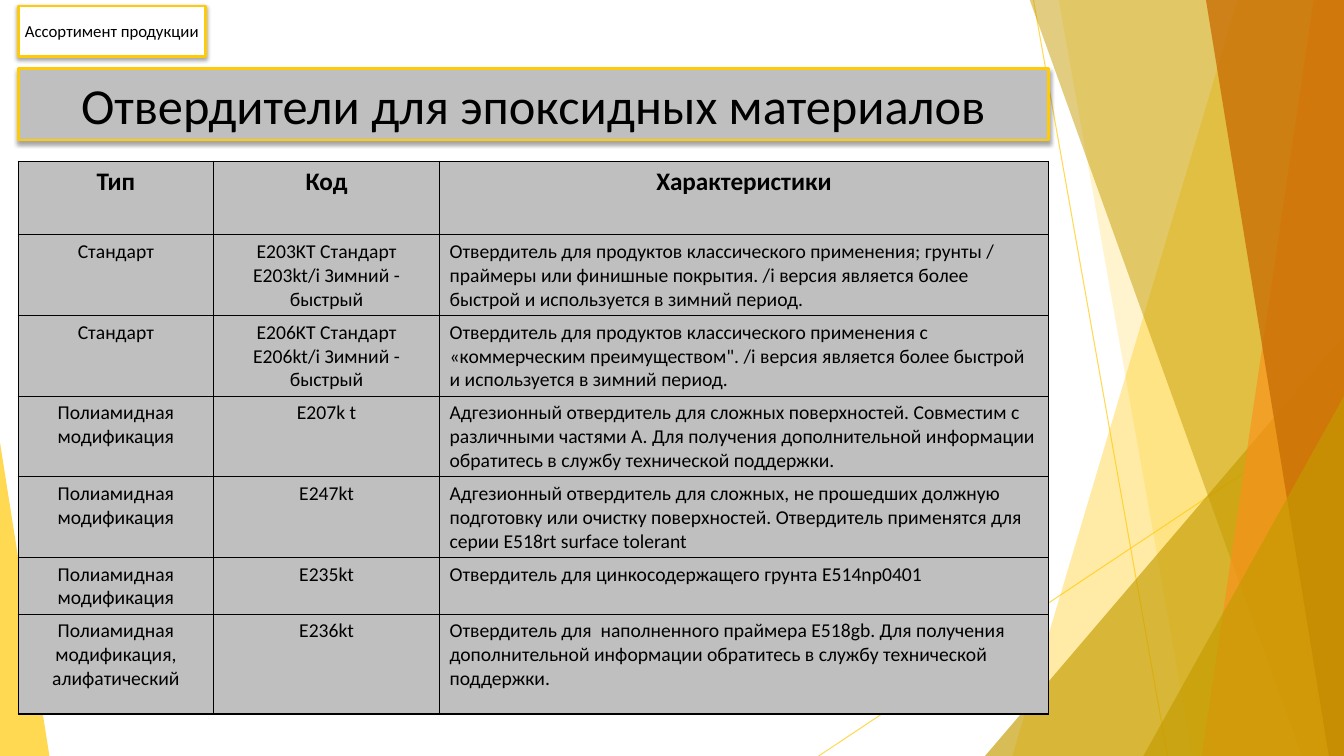
from dataclasses import dataclass
from typing import Any

from lxml import etree
from pptx import Presentation
from pptx import util as u
from pptx.dml.color import RGBColor
from pptx.enum import shapes, text
from pptx.oxml import ns


@dataclass(frozen=True)
class Theme:
    font: str = "Calibri"
    black: str = "000000"
    white: str = "FFFFFF"
    grey: str = "BFBFBF"
    yellow: str = "FFCA08"
    gold: str = "C59B00"
    orange: str = "F8931D"
    rust: str = "CA6F06"
    title: int = 36
    header: int = 18
    body: int = 14
    tag: int = 12


T = Theme()
WIDTH, HEIGHT, TOP = 13.33, 7.5, -0.01
LEFT, CONTENT_WIDTH = 0.18, 10.22


@dataclass(frozen=True)
class Ray:
    start: tuple[float, float]
    end: tuple[float, float]


@dataclass(frozen=True)
class Band:
    """A facet reaching the right edge, bounded on the left by a slanted side."""
    top_x: float
    bottom_x: float
    color: str
    alpha: int


@dataclass(frozen=True)
class Triangle:
    left: float
    top: float
    width: float
    apex: float
    color: str
    alpha: int


@dataclass(frozen=True)
class Banner:
    label: str
    top: float
    width: float
    height: float
    fill: str
    size: int


@dataclass(frozen=True)
class Hardener:
    kind: str
    codes: tuple[str, ...]
    features: str
    height: float


DECOR: list[Ray | Band | Triangle] = [
    Ray((10.25, 0), (11.58, HEIGHT)),
    Ray((WIDTH, 4.03), (8.12, HEIGHT)),
    Band(12.28, 10.04, T.yellow, 36),
    Band(10.5, 11.83, T.yellow, 20),
    Triangle(9.77, 3.33, 3.56, 1, T.gold, 66),
    Band(10.21, 12.91, T.gold, 50),
    Band(13.03, 11.92, T.orange, 70),
    Band(11.96, 13.18, T.rust, 80),
    Triangle(11.34, 3.93, 1.99, 1, T.gold, 66),
    Triangle(0, 4.39, 0.49, 0, T.yellow, 70),
]
BANNERS = [
    Banner("Отвердители для эпоксидных материалов", 0.68, CONTENT_WIDTH, 0.71, T.grey, T.title),
    Banner("Ассортимент продукции", 0.06, 1.86, 0.5, T.white, T.tag),
]
COLUMNS = [1.94, 2.24, 6.04]
ROWS = [
    Hardener("Тип", ("Код",), "Характеристики", 0.73),
    Hardener("Стандарт", ("E203KT Стандарт", "E203kt/i Зимний - быстрый"),
             "Отвердитель для продуктов классического применения; грунты / праймеры или финишные "
             "покрытия. /i версия является более быстрой и используется в зимний период.", 0.65),
    Hardener("Стандарт", ("E206KT Стандарт", "E206kt/i Зимний - быстрый"),
             "Отвердитель для продуктов классического применения с «коммерческим преимуществом\". "
             "/i версия является более быстрой и используется в зимний период.", 0.67),
    Hardener("Полиамидная модификация", ("E207k t",),
             "Адгезионный отвердитель для сложных поверхностей. Совместим с различными частями A. "
             "Для получения дополнительной информации обратитесь в службу технической поддержки.", 0.65),
    Hardener("Полиамидная модификация", ("E247kt",),
             "Адгезионный отвердитель для сложных, не прошедших должную подготовку или очистку "
             "поверхностей. Отвердитель применятся для серии E518rt surface tolerant", 0.69),
    Hardener("Полиамидная модификация", ("E235kt",),
             "Отвердитель для цинкосодержащего грунта E514np0401", 0.51),
    Hardener("Полиамидная модификация, алифатический", ("E236kt",),
             "Отвердитель для  наполненного праймера E518gb. Для получения дополнительной "
             "информации обратитесь в службу технической поддержки.", 0.99),
]


def sub(parent: Any, tag: str, **attrs: Any) -> Any:
    return etree.SubElement(parent, ns.qn(tag), {k: str(v) for k, v in attrs.items()})


def paint(fill: Any, color: str, alpha: int = 100) -> None:
    """Set a solid fill with an opacity in percent."""
    fill.solid()
    fill.fore_color.rgb = RGBColor.from_string(color)
    if alpha < 100:
        clr = fill._xPr.find(ns.qn("a:solidFill"))[0]
        sub(clr, "a:alpha", val=alpha * 1000)


def write(tf: Any, lines: tuple[str, ...], size: int, centred: bool = True, bold: bool = False) -> None:
    tf.word_wrap = True
    for i, line in enumerate(lines):
        p = tf.add_paragraph() if i else tf.paragraphs[0]
        p.alignment = text.PP_ALIGN.CENTER if centred else text.PP_ALIGN.LEFT
        r = p.add_run()
        r.text = line
        r.font.name, r.font.size, r.font.bold = T.font, u.Pt(size), bold
        r.font.color.rgb = RGBColor.from_string(T.black)


def add_ray(s: Any, ray: Ray) -> None:
    ends = [u.Inches(v) for v in (*ray.start, *ray.end)]
    line = s.shapes.add_connector(shapes.MSO_CONNECTOR.STRAIGHT, *ends)
    line.line.width = u.Pt(0.75)
    paint(line.line.fill, T.yellow, 70)
    sub(line._element.spPr, "a:effectLst")


def add_facet(s: Any, facet: Band | Triangle) -> None:
    if isinstance(facet, Band):
        corners = [(facet.top_x, TOP), (WIDTH, TOP), (WIDTH, HEIGHT), (facet.bottom_x, HEIGHT)]
        points = [(u.Inches(x), u.Inches(y)) for x, y in corners]
        builder = s.shapes.build_freeform(*points[0])
        builder.add_line_segments(points[1:], close=True)
        sp = builder.convert_to_shape()
    else:
        box = (facet.left, facet.top, facet.width, HEIGHT - facet.top)
        sp = s.shapes.add_shape(shapes.MSO_SHAPE.ISOSCELES_TRIANGLE, *map(u.Inches, box))
        sp.adjustments[0] = facet.apex
    sp.shadow.inherit = False
    sp.line.fill.background()
    paint(sp.fill, facet.color, facet.alpha)


def add_banner(s: Any, b: Banner) -> None:
    box = map(u.Inches, (LEFT, b.top, b.width, b.height))
    sp = s.shapes.add_shape(shapes.MSO_SHAPE.RECTANGLE, *box)
    paint(sp.fill, b.fill)
    paint(sp.line.fill, T.yellow)
    sp.line.width = u.Pt(2)
    sp.shadow.inherit = False
    effects = sp._element.spPr.find(ns.qn("a:effectLst"))
    shadow = sub(effects, "a:outerShdw", blurRad=u.Pt(3), dist=u.Pt(1.8), dir=90 * 60000, rotWithShape=0)
    sub(sub(shadow, "a:srgbClr", val=T.black), "a:alpha", val=35000)
    tf = sp.text_frame
    tf.margin_left = tf.margin_right = tf.margin_top = tf.margin_bottom = u.Inches(0.05)
    tf.vertical_anchor = text.MSO_ANCHOR.MIDDLE
    write(tf, (b.label,), b.size)


def style_cell(cell: Any) -> None:
    tcPr = cell._tc.get_or_add_tcPr()
    for side in ("a:lnL", "a:lnR", "a:lnT", "a:lnB"):
        ln = sub(tcPr, side, w=u.Pt(1))
        sub(sub(ln, "a:solidFill"), "a:srgbClr", val=T.black)
    paint(cell.fill, T.grey)
    cell.margin_bottom = u.Inches(0.04)


def add_hardeners(s: Any) -> None:
    box = (LEFT, 1.6, CONTENT_WIDTH, sum(row.height for row in ROWS))
    table = s.shapes.add_table(len(ROWS), len(COLUMNS), *map(u.Inches, box)).table
    table.first_row = table.horz_banding = False
    for column, width in zip(table.columns, COLUMNS):
        column.width = u.Inches(width)
    for i, row in enumerate(ROWS):
        table.rows[i].height = u.Inches(row.height)
        header = i == 0
        for j, lines in enumerate(((row.kind,), row.codes, (row.features,))):
            cell = table.cell(i, j)
            style_cell(cell)
            write(cell.text_frame, lines, T.header if header else T.body, header or j < 2, header)


def main() -> None:
    prs = Presentation()
    prs.slide_width, prs.slide_height = u.Inches(WIDTH), u.Inches(HEIGHT)
    s = prs.slides.add_slide(prs.slide_layouts[6])
    for item in DECOR:
        if isinstance(item, Ray):
            add_ray(s, item)
        else:
            add_facet(s, item)
    for banner in BANNERS:
        add_banner(s, banner)
    add_hardeners(s)
    prs.save("out.pptx")


if __name__ == "__main__":
    main()
